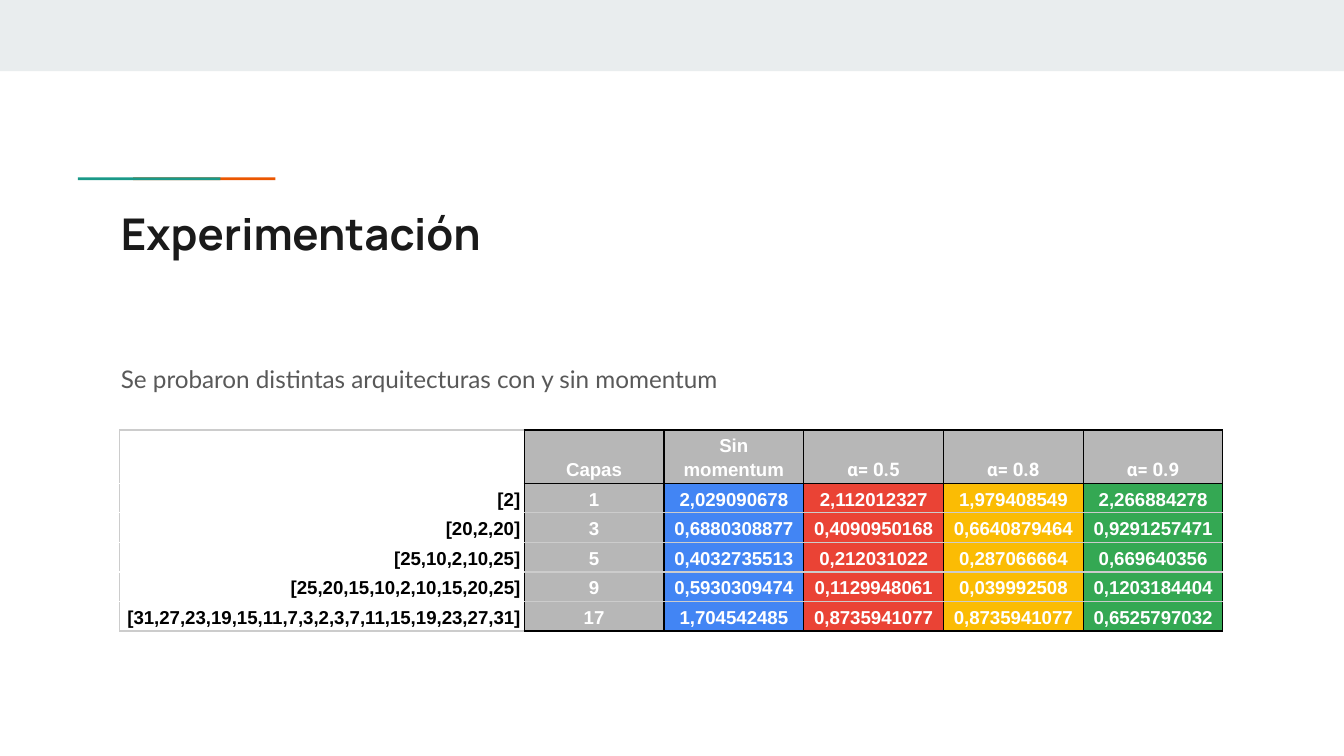
import pptx
import pptx.dml.color
import pptx.enum.shapes
import pptx.enum.text
import pptx.oxml
import pptx.oxml.ns
import pptx.util

WIDTH = 10
HEIGHT = WIDTH * 9 / 16
HEADER = ["", "Capas", "Sin momentum", "α= 0.5", "α= 0.8", "α= 0.9"]
RESULTS = [
    ["[2]", "1", "2,029090678", "2,112012327", "1,979408549", "2,266884278"],
    ["[20,2,20]", "3", "0,6880308877", "0,4090950168", "0,6640879464", "0,9291257471"],
    ["[25,10,2,10,25]", "5", "0,4032735513", "0,212031022", "0,287066664", "0,669640356"],
    ["[25,20,15,10,2,10,15,20,25]", "9", "0,5930309474", "0,1129948061", "0,039992508", "0,1203184404"],
    ["[31,27,23,19,15,11,7,3,2,3,7,11,15,19,23,27,31]", "17",
     "1,704542485", "0,8735941077", "0,8735941077", "0,6525797032"],
]
COLUMN_FILLS = [None, "B7B7B7", "4285F4", "EA4335", "FBBC04", "34A853"]
BLACK, WHITE, GRAY = "000000", "FFFFFF", "CCCCCC"
ALIGN = pptx.enum.text.PP_ALIGN
ANCHOR = pptx.enum.text.MSO_ANCHOR


def color(value):
    """Turn a hex string into an RGB colour."""
    return pptx.dml.color.RGBColor.from_string(value)


def inches(*lengths):
    """Convert lengths in inches to slide units."""
    return [pptx.util.Inches(length) for length in lengths]


def add_run(paragraph, text, font, size, fill, bold=False):
    """Append one formatted run to a paragraph."""
    run = paragraph.add_run()
    run.text = text
    run.font.name = font
    run.font.size = pptx.util.Pt(size)
    run.font.bold = bold
    run.font.color.rgb = color(fill)


def add_bar(slide, left, top, width, height, fill):
    """Draw a plain filled rectangle."""
    shape = slide.shapes.add_shape(pptx.enum.shapes.MSO_SHAPE.RECTANGLE, *inches(left, top, width, height))
    shape.shadow.inherit = False
    shape.fill.solid()
    shape.fill.fore_color.rgb = color(fill)
    shape.line.fill.background()


def fill_placeholder(shape, box, text, font, size, fill, bold=False):
    """Move a placeholder and write its single paragraph."""
    shape.left, shape.top, shape.width, shape.height = inches(*box)
    frame = shape.text_frame
    frame.word_wrap = True
    frame.auto_size = pptx.enum.text.MSO_AUTO_SIZE.NONE
    frame.vertical_anchor = ANCHOR.TOP
    frame.margin_left = frame.margin_top = frame.margin_right = frame.margin_bottom = pptx.util.Inches(0.1)
    paragraph = frame.paragraphs[0]
    paragraph.alignment = ALIGN.LEFT
    paragraph.space_before = pptx.util.Pt(0)
    add_run(paragraph, text, font, size, fill, bold)
    return paragraph


def remove_bullet(paragraph):
    """Drop the bullet and the hanging indent."""
    properties = paragraph._p.get_or_add_pPr()
    properties.set("marL", "0")
    properties.set("indent", "0")
    properties.append(pptx.oxml.parse_xml(f'<a:buNone {pptx.oxml.ns.nsdecls("a")}/>'))


def border_colors(row, column, last):
    """Give the left, right, top and bottom border colours of a cell."""
    if column == 0:
        return GRAY, BLACK, GRAY if row == 0 else WHITE, GRAY if row == last else WHITE
    return BLACK, BLACK, BLACK if row <= 1 else GRAY, BLACK if row in (0, last) else GRAY


def set_borders(cell, colors):
    """Add the four border lines ahead of the cell fill."""
    properties = cell._tc.get_or_add_tcPr()
    for index, (side, value) in enumerate(zip("LRTB", colors)):
        properties.insert(index, pptx.oxml.parse_xml(
            f'<a:ln{side} {pptx.oxml.ns.nsdecls("a")} w="{pptx.util.Pt(0.75)}">'
            f'<a:solidFill><a:srgbClr val="{value}"/></a:solidFill></a:ln{side}>'))


def format_cell(cell, text, row, column):
    """Write, fill and outline one table cell."""
    cell.vertical_anchor = ANCHOR.BOTTOM
    cell.margin_left, cell.margin_right, cell.margin_top, cell.margin_bottom = inches(0.03, 0.03, 0.02, 0.02)
    if column == 0:
        cell.fill.background()
    else:
        cell.fill.solid()
        cell.fill.fore_color.rgb = color(COLUMN_FILLS[1 if row == 0 else column])
    set_borders(cell, border_colors(row, column, len(RESULTS)))
    if text:
        paragraph = cell.text_frame.paragraphs[0]
        paragraph.alignment = ALIGN.CENTER if column else ALIGN.RIGHT
        paragraph.line_spacing = 1.15
        font = "Roboto" if row == 0 and column >= 3 else "Arial"
        add_run(paragraph, text, font, 10, WHITE if column else BLACK, True)


def add_results_table(slide):
    """Build the table of errors by architecture and momentum."""
    rows = [HEADER] + RESULTS
    widths = [3.01] + [1.04] * (len(HEADER) - 1)
    heights = [0.36] + [0.22] * len(RESULTS)
    frame = slide.shapes.add_table(len(rows), len(HEADER), *inches(0.89, 3.2, sum(widths), sum(heights)))
    table = frame.table
    table.first_row = table.horz_banding = False
    for column, width in zip(table.columns, widths):
        column.width = pptx.util.Inches(width)
    for row, height in zip(table.rows, heights):
        row.height = pptx.util.Inches(height)
    for row, texts in enumerate(rows):
        for column, text in enumerate(texts):
            format_cell(table.cell(row, column), text, row, column)


def main():
    """Build and save the slide."""
    presentation = pptx.Presentation()
    presentation.slide_width, presentation.slide_height = inches(WIDTH, HEIGHT)
    slide = presentation.slides.add_slide(presentation.slide_layouts[1])
    add_bar(slide, 0, 0, WIDTH, 0.53, "E9EDEE")
    add_bar(slide, 0.99, 1.32, 1.06, 0.02, "EB5600")
    add_bar(slide, 0.58, 1.32, 1.06, 0.02, "1A9988")
    fill_placeholder(slide.shapes.title, (0.8, 1.44, 8.41, 0.59),
                     "Experimentación", "Manrope", 23.4, "1A1A1A", True)
    body = fill_placeholder(slide.placeholders[1], (0.8, 2.58, 8.79, 2.47),
                            "Se probaron distintas arquitecturas con y sin momentum", "Lato", 13, "595959")
    body.line_spacing = 1.15
    body.space_after = pptx.util.Pt(12)
    remove_bullet(body)
    add_results_table(slide)
    presentation.save("out.pptx")


if __name__ == "__main__":
    main()
